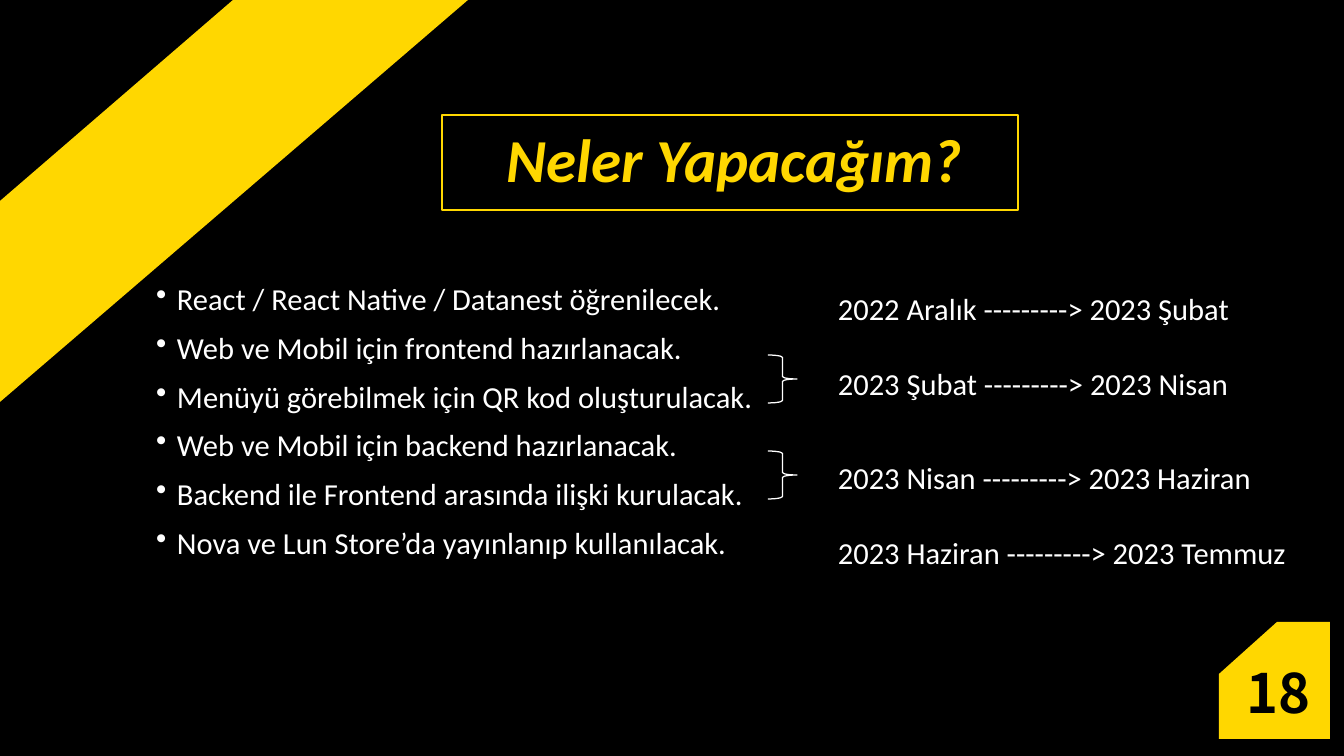
"""Builds the black and yellow project plan slide."""
from lxml.etree import SubElement
from pptx import Presentation
from pptx.dml.color import RGBColor
from pptx.enum.shapes import MSO_SHAPE
from pptx.enum.text import MSO_ANCHOR, MSO_AUTO_SIZE, PP_ALIGN
from pptx.oxml.ns import qn
from pptx.util import Pt

PIXEL = 914400 / 122
BLACK = RGBColor(0x00, 0x00, 0x00)
GOLD = RGBColor(0xFF, 0xD7, 0x00)
WHITE = RGBColor(0xFF, 0xFF, 0xFF)

TASKS = [
    "React / React Native / Datanest öğrenilecek.",
    "Web ve Mobil için frontend hazırlanacak.",
    "Menüyü görebilmek için QR kod oluşturulacak.",
    "Web ve Mobil için backend hazırlanacak.",
    "Backend ile Frontend arasında ilişki kurulacak.",
    "Nova ve Lun Store’da yayınlanıp kullanılacak.",
]
SCHEDULE = [
    (284, "2022 Aralık ---------> 2023 Şubat"),
    (359, "2023 Şubat ---------> 2023 Nisan"),
    (453, "2023 Nisan ---------> 2023 Haziran"),
    (528, "2023 Haziran ---------> 2023 Temmuz"),
]


def emu(pixels):
    return round(pixels * PIXEL)


class PlanPage:
    font = "Calibri"
    body_size = 18

    def __init__(self, deck):
        self.page = deck.slides.add_slide(deck.slide_layouts[5])
        self.shapes = self.page.shapes
        fill = self.page.background.fill
        fill.solid()
        fill.fore_color.rgb = BLACK

    def place(self, box, left, top, width, height):
        box.left, box.top = emu(left), emu(top)
        box.width, box.height = emu(width), emu(height)

    def style(self, frame, color, size, font=None, bold=False, italic=False):
        frame.word_wrap = True
        frame.auto_size = MSO_AUTO_SIZE.NONE
        frame.vertical_anchor = MSO_ANCHOR.TOP
        for para in frame.paragraphs:
            for span in para.runs:
                span.font.name = font or self.font
                span.font.size = Pt(size)
                span.font.bold = bold
                span.font.italic = italic
                span.font.color.rgb = color

    def title(self, text, *area):
        box = self.shapes.title
        self.place(box, *area)
        box.text_frame.text = text
        box.text_frame.paragraphs[0].alignment = PP_ALIGN.CENTER
        self.style(box.text_frame, GOLD, 36, bold=True, italic=True)

    def text(self, text, *area, color=WHITE, size=body_size, **look):
        box = self.shapes.add_textbox(*map(emu, area))
        box.text_frame.text = text
        self.style(box.text_frame, color, size, **look)
        return box

    def bullets(self, items, *area):
        box = self.text("\n".join(items), *area)
        for para in box.text_frame.paragraphs:
            para.line_spacing = 1.2
            para.space_before = Pt(2.8)
            properties = para._p.get_or_add_pPr()
            properties.set("marL", str(emu(21)))
            properties.set("indent", str(-emu(21)))
            SubElement(properties, qn("a:buChar")).set("char", "•")

    def outline(self, kind, color, weight, *area):
        shape = self.shapes.add_shape(kind, *map(emu, area))
        shape.shadow.inherit = False
        shape.fill.background()
        shape.line.color.rgb = color
        shape.line.width = Pt(weight)

    def polygon(self, color, start, *corners):
        builder = self.shapes.build_freeform(*start, scale=PIXEL)
        builder.add_line_segments(corners, close=True)
        shape = builder.convert_to_shape()
        shape.shadow.inherit = False
        shape.fill.solid()
        shape.fill.fore_color.rgb = color
        shape.line.fill.background()


def main():
    deck = Presentation()
    deck.slide_width, deck.slide_height = emu(1344), emu(756)
    plan = PlanPage(deck)
    plan.polygon(GOLD, (0, 201), (233, 0), (468, 0), (0, 402))
    plan.polygon(GOLD, (1277, 622), (1330, 622), (1330, 739), (1219, 739), (1219, 674))
    plan.text("18", 1235, 653, 96, 77, color=BLACK, size=32,
              font="Noto Sans CJK SC", bold=True)
    plan.title("Neler Yapacağım?", 374, 115, 721, 85)
    plan.outline(MSO_SHAPE.RECTANGLE, GOLD, 1, 442, 115, 576, 95)
    plan.bullets(TASKS, 144, 267, 672, 343)
    for top in (355, 451):
        plan.outline(MSO_SHAPE.RIGHT_BRACE, WHITE, 0, 768, top, 29, 48)
    for top, period in SCHEDULE:
        plan.text(period, 826, top, 481, 49)
    deck.save("out.pptx")


if __name__ == "__main__":
    main()
